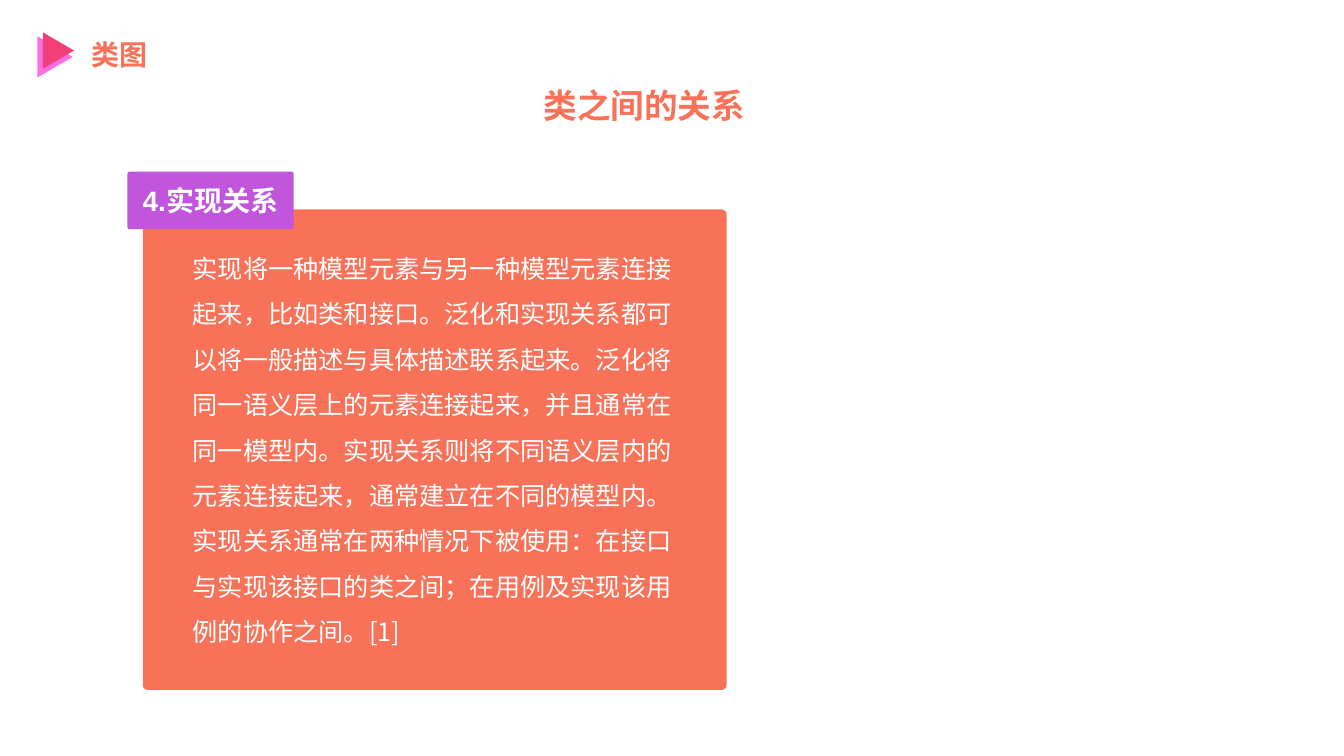
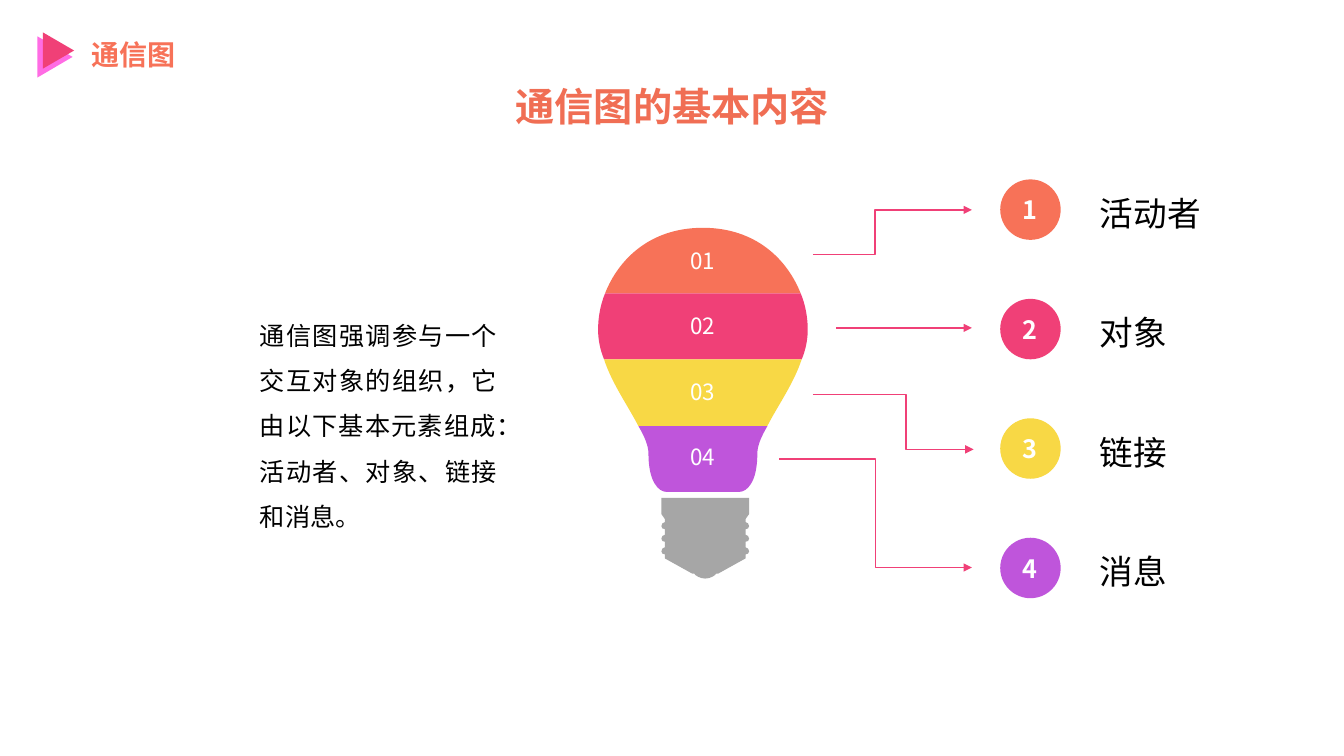
"""Build two UML slides: the realization relationship and the contents of a communication diagram."""
import dataclasses
import typing

import lxml.etree
import pptx
import pptx.dml.color
import pptx.enum.shapes
import pptx.enum.text
import pptx.oxml.ns
import pptx.presentation
import pptx.shapes.autoshape
import pptx.slide
import pptx.text.text
import pptx.util

SHAPE = pptx.enum.shapes.MSO_SHAPE
ALIGN = pptx.enum.text.PP_ALIGN
ANCHOR = pptx.enum.text.MSO_ANCHOR
qn = pptx.oxml.ns.qn

SLIDE_W, SLIDE_H = pptx.util.Inches(40 / 3), pptx.util.Inches(7.5)
COLS, ROWS = 160, 90


@dataclasses.dataclass(frozen=True)
class Theme:
    font: str = "Noto Sans CJK SC"
    tag_font: str = "Arial"
    white: str = "FFFFFF"
    black: str = "000000"
    orange: str = "F77258"
    title_orange: str = "F06E54"
    pink: str = "F04077"
    light_pink: str = "FF6CE4"
    yellow: str = "F8D845"
    purple: str = "BF55DB"
    tag_purple: str = "C155DC"
    grey: str = "A6A6A6"
    heading: int = 20
    title: int = 24
    large_title: int = 28
    label: int = 24
    body: int = 18
    number: int = 16


class Box(typing.NamedTuple):
    col: float
    row: float
    cols: float
    rows: float


class Point(typing.NamedTuple):
    x: float
    y: float


class Arrow(typing.NamedTuple):
    start: Point
    end: Point
    bend: float = 0


class Element(typing.NamedTuple):
    label: str
    color: str
    half_outline: list[Point]
    arrow: Arrow


T = Theme()


def col(n: float) -> int:
    return round(n * SLIDE_W / COLS)


def row(n: float) -> int:
    return round(n * SLIDE_H / ROWS)


def emu(box: Box) -> tuple[int, int, int, int]:
    return col(box.col), row(box.row), col(box.cols), row(box.rows)


def rgb(color: str) -> pptx.dml.color.RGBColor:
    return pptx.dml.color.RGBColor.from_string(color)


def write(tf: pptx.text.text.TextFrame, text: str, *, size: int, color: str,
          bold: bool = False, font: str = T.font, align: ALIGN = ALIGN.LEFT,
          anchor: ANCHOR = ANCHOR.TOP, spacing: float = 1, wrap: bool = True,
          inset: float | None = None) -> None:
    tf.word_wrap = wrap
    tf.vertical_anchor = anchor
    if inset is not None:
        tf.margin_left = tf.margin_right = tf.margin_top = tf.margin_bottom = col(inset)
    p = tf.paragraphs[0]
    p.alignment = align
    p.line_spacing = spacing
    r = p.add_run()
    r.text = text
    r.font.size = pptx.util.Pt(size)
    r.font.bold = bold
    r.font.name = font
    r.font.color.rgb = rgb(color)
    ea = lxml.etree.SubElement(r.font._element, qn("a:ea"))
    ea.set("typeface", T.font)


def add_text(s: pptx.slide.Slide, box: Box, text: str, **style: typing.Any) -> None:
    write(s.shapes.add_textbox(*emu(box)).text_frame, text, **style)


def paint(sp: pptx.shapes.autoshape.Shape, color: str) -> None:
    sp.shadow.inherit = False
    sp.fill.solid()
    sp.fill.fore_color.rgb = rgb(color)
    sp.line.fill.background()


def add_shape(s: pptx.slide.Slide, kind: SHAPE, box: Box, color: str,
              corner: float | None = None) -> pptx.shapes.autoshape.Shape:
    sp = s.shapes.add_shape(kind, *emu(box))
    paint(sp, color)
    if corner is not None:
        sp.adjustments[0] = corner
    return sp


def points(*pairs: tuple[float, float]) -> list[Point]:
    return [Point(*pair) for pair in pairs]


def straight(start: tuple[float, float], end: tuple[float, float]) -> list[Point]:
    return points(start, end, end)


def bend_segments(sp: pptx.shapes.autoshape.Shape) -> None:
    lines = list(sp._element.iter(qn("a:lnTo")))
    for i in range(0, len(lines), 3):
        bezier = lxml.etree.Element(qn("a:cubicBezTo"))
        lines[i].addprevious(bezier)
        for line in lines[i:i + 3]:
            bezier.append(line[0])
            line.getparent().remove(line)


def add_symmetric(s: pptx.slide.Slide, axis: float, half: list[Point], color: str) -> None:
    outline = [(col(axis - p.x), row(p.y)) for p in half]
    mirrored = [(col(axis + p.x), row(p.y)) for p in reversed(half)]
    outline += [outline[-1], mirrored[0], *mirrored]
    builder = s.shapes.build_freeform(*outline[0])
    builder.add_line_segments(outline[1:], close=True)
    sp = builder.convert_to_shape()
    bend_segments(sp)
    paint(sp, color)


def add_arrow(s: pptx.slide.Slide, arrow: Arrow) -> None:
    kinds = pptx.enum.shapes.MSO_CONNECTOR
    kind = kinds.ELBOW if arrow.bend else kinds.STRAIGHT
    cx = s.shapes.add_connector(kind, col(arrow.start.x), row(arrow.start.y),
                                col(arrow.end.x), row(arrow.end.y))
    cx.line.color.rgb = rgb(T.pink)
    cx.line.width = pptx.util.Pt(1)
    sp_pr = cx._element.spPr
    lxml.etree.SubElement(sp_pr.find(qn("a:ln")), qn("a:tailEnd")).set("type", "triangle")
    lxml.etree.SubElement(sp_pr, qn("a:effectLst"))
    if arrow.bend:
        guide = lxml.etree.SubElement(sp_pr.find(".//" + qn("a:avLst")), qn("a:gd"))
        guide.set("name", "adj1")
        guide.set("fmla", f"val {round(arrow.bend * 100000)}")


def add_slide(prs: pptx.presentation.Presentation, heading: str, title: str, title_box: Box,
              size: int, color: str) -> pptx.slide.Slide:
    s = prs.slides.add_slide(prs.slide_layouts[6])
    for box, fill in ((Box(4.08, 4.68, 4.92, 4.2), T.light_pink),
                      (Box(4.8, 4.16, 4.32, 3.72), T.pink)):
        add_shape(s, SHAPE.ISOSCELES_TRIANGLE, box, fill).rotation = 90
    add_text(s, Box(9.72, 3.9, 34, 5.28), heading, size=T.heading, color=T.orange, bold=True)
    add_text(s, title_box, title, size=size, color=color, bold=True, align=ALIGN.CENTER)
    return s


def realization_slide(prs: pptx.presentation.Presentation) -> None:
    s = add_slide(prs, "类图", "类之间的关系", Box(53.5, 9.48, 46.4, 6), T.title, T.orange)
    add_shape(s, SHAPE.ROUNDED_RECTANGLE, Box(17, 24.94, 69.5, 57.2), T.orange, 0.01)
    add_text(s, Box(21.75, 27.78, 60.1, 55.8),
             "实现将一种模型元素与另一种模型元素连接起来，比如类和接口。"
             "泛化和实现关系都可以将一般描述与具体描述联系起来。"
             "泛化将同一语义层上的元素连接起来，并且通常在同一模型内。"
             "实现关系则将不同语义层内的元素连接起来，通常建立在不同的模型内。"
             "实现关系通常在两种情况下被使用：在接口与实现该接口的类之间；"
             "在用例及实现该用例的协作之间。[1]",
             size=T.body, color=T.white, spacing=1.5)
    tag = add_shape(s, SHAPE.ROUNDED_RECTANGLE, Box(15.16, 20.44, 19.8, 6.84), T.tag_purple, 0.04)
    write(tag.text_frame, "4.实现关系", size=T.heading, color=T.white, bold=True,
          font=T.tag_font, align=ALIGN.CENTER, anchor=ANCHOR.MIDDLE)


def bulb_elements() -> list[Element]:
    return [
        Element("活动者", T.orange,
                points((0, 27.12), (6.36, 27.12), (10.08, 30.96), (11.64, 34.92)),
                Arrow(Point(96.77, 30.32), Point(115.7, 25), 0.39)),
        Element("对象", T.pink,
                points((11.64, 34.92), (12.24, 36.36), (12.48, 37.92), (12.48, 39.24),
                       (12.48, 40.44), (12.24, 41.64), (11.76, 42.8)),
                Arrow(Point(99.55, 39.04), Point(115.7, 39.04))),
        Element("链接", T.yellow,
                points((11.76, 42.8), (10.8, 45.72), (8.88, 48.36), (7.68, 50.72)),
                Arrow(Point(96.77, 46.96), Point(115.9, 53.5), 0.58)),
        Element("消息", T.purple,
                points((7.68, 50.72), (6.96, 51.96), (6.48, 53.04), (6.48, 54),
                       (6.48, 57.36), (5.28, 58.56), (4.32, 58.56)),
                Arrow(Point(92.75, 54.64), Point(115.7, 67.56), 0.5)),
    ]


def socket_outline() -> list[Point]:
    half = points((5.22, 59.28))
    half += straight((5.22, 59.28), (5.22, 61.2)) + straight((5.22, 61.2), (4.8, 61.8))
    for i in range(3):
        y = 62.16 + 1.5 * i
        half += straight(half[-1], (4.8, y))
        half += points((5.04, y), (5.22, y + 0.24), (5.22, y + 0.48),
                       (5.22, y + 0.72), (5.04, y + 0.84), (4.8, y + 0.84))
    for corner in ((4.8, 66.48), (1.56, 68.28), (1.32, 68.28)):
        half += straight(half[-1], corner)
    return half + points((1.2, 68.52), (0.6, 68.88), (0, 68.88))


def communication_slide(prs: pptx.presentation.Presentation) -> None:
    s = add_slide(prs, "通信图", "通信图的基本内容", Box(56.58, 9.18, 46.9, 6.84),
                  T.large_title, T.title_orange)
    add_symmetric(s, 83.96, socket_outline(), T.grey)
    for i, element in enumerate(bulb_elements()):
        add_symmetric(s, 83.68, element.half_outline, element.color)
        number = add_shape(s, SHAPE.RECTANGLE, Box(82.08, 29.4 + 7.8 * i, 3.12, 3.24),
                           element.color)
        write(number.text_frame, f"{i + 1:02}", size=T.number, color=T.white,
              align=ALIGN.CENTER, wrap=False, inset=0)
        badge = add_shape(s, SHAPE.OVAL, Box(119.08, 21.36 + 14.22 * i, 7.2, 7.2), element.color)
        write(badge.text_frame, str(i + 1), size=T.body, color=T.white, bold=True,
              align=ALIGN.CENTER, anchor=ANCHOR.MIDDLE)
        add_arrow(s, element.arrow)
        add_text(s, Box(129.77, 22.34 + 14.22 * i, 30, 6), element.label,
                 size=T.label, color=T.black)
    add_text(s, Box(29.76, 35.7, 30.6, 28.4),
             "通信图强调参与一个交互对象的组织，它由以下基本元素组成：活动者、对象、链接和消息。",
             size=T.body, color=T.black, align=ALIGN.JUSTIFY, spacing=1.5)


def main() -> None:
    prs = pptx.Presentation()
    prs.slide_width, prs.slide_height = SLIDE_W, SLIDE_H
    realization_slide(prs)
    communication_slide(prs)
    prs.save("out.pptx")


if __name__ == "__main__":
    main()
